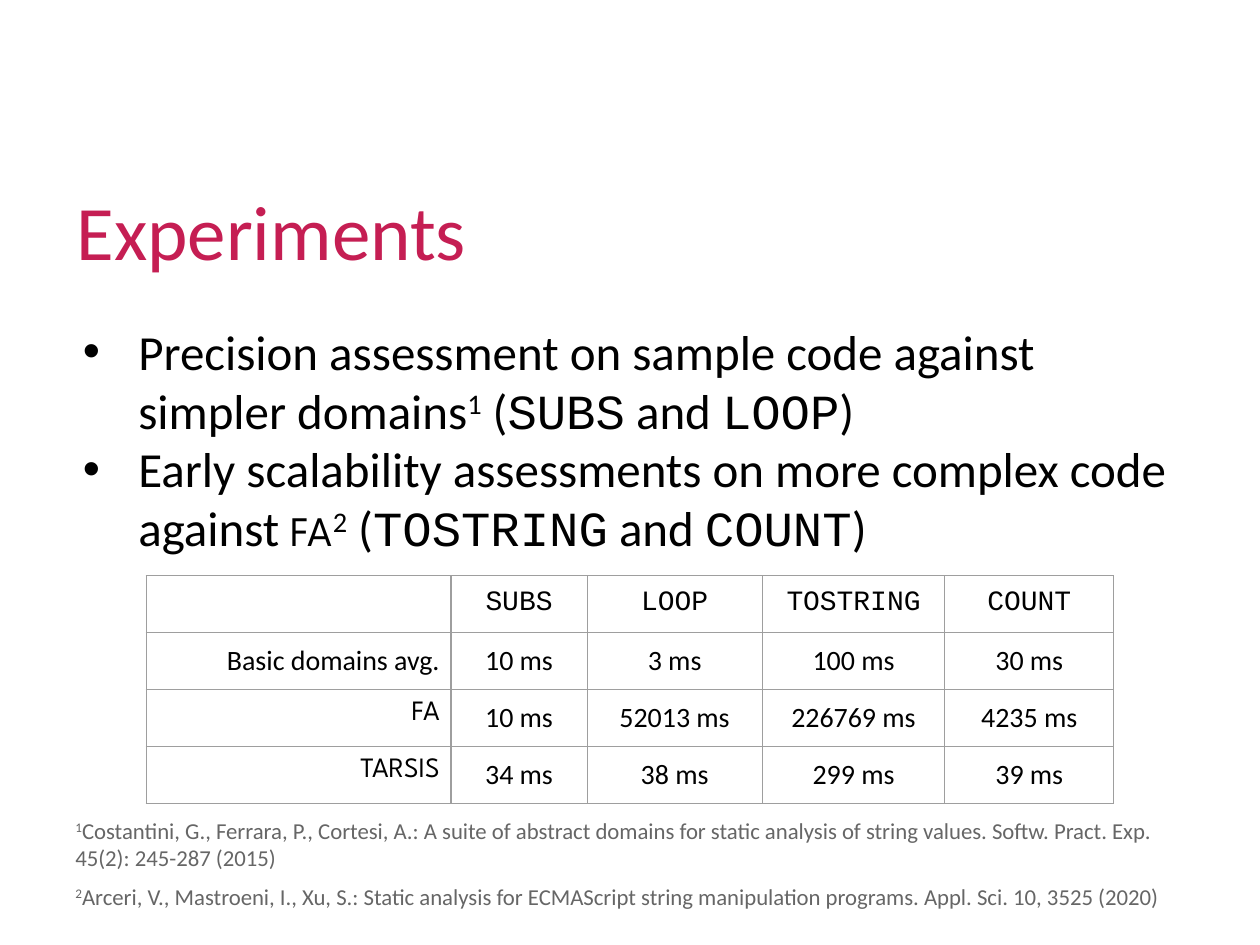
from dataclasses import dataclass

from lxml import etree
from pptx import Presentation
from pptx.dml.color import RGBColor
from pptx.enum import text as txt
from pptx.oxml import ns
from pptx.util import Inches, Pt


@dataclass(frozen=True)
class Theme:
    sans: str = "Calibri"
    mono: str = "Courier New"
    caps: str = "League Spartan"
    red: str = "C51E53"
    black: str = "000000"
    gray: str = "666666"
    rule: str = "9E9E9E"
    title: int = 44
    body: int = 28
    tool: int = 24
    cell: int = 16
    note: int = 13
    gap: float = 6.4


T = Theme()


@dataclass(frozen=True)
class Span:
    words: str
    size: float = T.body
    font: str = T.sans
    color: str = T.black
    sup: bool = False


@dataclass(frozen=True)
class Box:
    left: float
    top: float
    width: float
    height: float


def write(para, spans: list[Span]) -> None:
    for span in spans:
        run = para.add_run()
        run.text = span.words
        run.font.size = Pt(span.size)
        run.font.name = span.font
        run.font.color.rgb = RGBColor.from_string(span.color)
        if span.sup:
            run._r.get_or_add_rPr().set("baseline", "30000")


def add_text(slide, box: Box, paras: list[list[Span]], gap: float = 0,
             anchor=txt.MSO_ANCHOR.TOP):
    """Add a text box; gap is the space between its paragraphs in points."""
    shape = slide.shapes.add_textbox(
        Inches(box.left), Inches(box.top), Inches(box.width), Inches(box.height))
    frame = shape.text_frame
    frame.word_wrap = True
    frame.vertical_anchor = anchor
    frame.margin_left = frame.margin_right = Inches(0.1)
    frame.margin_top = frame.margin_bottom = Inches(0.1)
    for i, spans in enumerate(paras):
        para = frame.add_paragraph() if i else frame.paragraphs[0]
        para.space_before = Pt(gap if i else 0)
        write(para, spans)
    return frame


def add_bullet(para) -> None:
    props = para._p.get_or_add_pPr()
    props.set("marL", str(Inches(0.5)))
    props.set("indent", str(Inches(-0.44)))
    tint = etree.SubElement(props, ns.qn("a:buClr"))
    etree.SubElement(tint, ns.qn("a:srgbClr"), val=T.black)
    etree.SubElement(props, ns.qn("a:buFont"), typeface="Arial")
    etree.SubElement(props, ns.qn("a:buChar"), char="•")


def frame_cell(cell) -> None:
    """Draw thin rules on all sides and clear the fill."""
    props = cell._tc.get_or_add_tcPr()
    for side in ("lnL", "lnR", "lnT", "lnB"):
        line = etree.SubElement(props, ns.qn(f"a:{side}"), w=str(Pt(0.75)))
        fill = etree.SubElement(line, ns.qn("a:solidFill"))
        etree.SubElement(fill, ns.qn("a:srgbClr"), val=T.rule)
    cell.fill.background()


def add_times(slide, box: Box, cols: list[float], rows: list[list[str]]) -> None:
    table = slide.shapes.add_table(
        len(rows), len(cols), Inches(box.left), Inches(box.top),
        Inches(box.width), Inches(box.height)).table
    table.first_row = table.horz_banding = False
    for col, width in zip(table.columns, cols):
        col.width = Inches(width)
    for r, row in enumerate(rows):
        table.rows[r].height = Inches(box.height / len(rows))
        for c, words in enumerate(row):
            cell = table.cell(r, c)
            frame_cell(cell)
            if not words:
                continue
            cell.margin_left = cell.margin_right = Inches(0.09)
            cell.margin_top = cell.margin_bottom = Inches(0.09)
            para = cell.text_frame.paragraphs[0]
            para.alignment = txt.PP_ALIGN.CENTER if c else txt.PP_ALIGN.RIGHT
            font = T.sans
            if r == 0:
                font = T.mono
            elif c == 0 and words.isupper():
                font = T.caps
            write(para, [Span(words, T.cell, font)])


def code(words: str) -> Span:
    return Span(words, font=T.mono)


def note(mark: str, words: str) -> list[Span]:
    return [Span(mark, T.note, color=T.gray, sup=True),
            Span(words, T.note, color=T.gray)]


def main() -> None:
    deck = Presentation()
    deck.slide_width, deck.slide_height = Inches(10), Inches(7.5)
    slide = deck.slides.add_slide(deck.slide_layouts[6])

    add_text(slide, Box(0.51, 1.2, 9, 1.25),
             [[Span("Experiments", T.title, color=T.red)]],
             anchor=txt.MSO_ANCHOR.MIDDLE)

    points = [
        [Span("Precision assessment on sample code against simpler domains"),
         Span("1", sup=True), Span(" ("), code("SUBS"), Span(" and "),
         code("LOOP"), Span(")")],
        [Span("Early scalability assessments on more complex code against "),
         Span("FA", T.tool, T.caps), Span("2", sup=True), Span(" ("),
         code("TOSTRING"), Span(" and "), code("COUNT"), Span(")")],
    ]
    body = add_text(slide, Box(0.5, 2.45, 9, 2.1), points)
    for para in body.paragraphs:
        add_bullet(para)

    add_times(slide, Box(1.16, 4.57, 7.67, 1.81), [2.42, 1.08, 1.39, 1.45, 1.34], [
        ["", "SUBS", "LOOP", "TOSTRING", "COUNT"],
        ["Basic domains avg.", "10 ms", "3 ms", "100 ms", "30 ms"],
        ["FA", "10 ms", "52013 ms", "226769 ms", "4235 ms"],
        ["TARSIS", "34 ms", "38 ms", "299 ms", "39 ms"],
    ])

    add_text(slide, Box(0.5, 6.38, 9, 0.95), [
        note("1", "Costantini, G., Ferrara, P., Cortesi, A.: A suite of abstract "
             "domains for static analysis of string values. Softw. Pract. Exp. "
             "45(2): 245-287 (2015)"),
        note("2", "Arceri, V., Mastroeni, I., Xu, S.: Static analysis for ECMAScript "
             "string manipulation programs. Appl. Sci. 10, 3525 (2020)"),
    ], gap=T.gap)

    deck.save("out.pptx")


if __name__ == "__main__":
    main()
